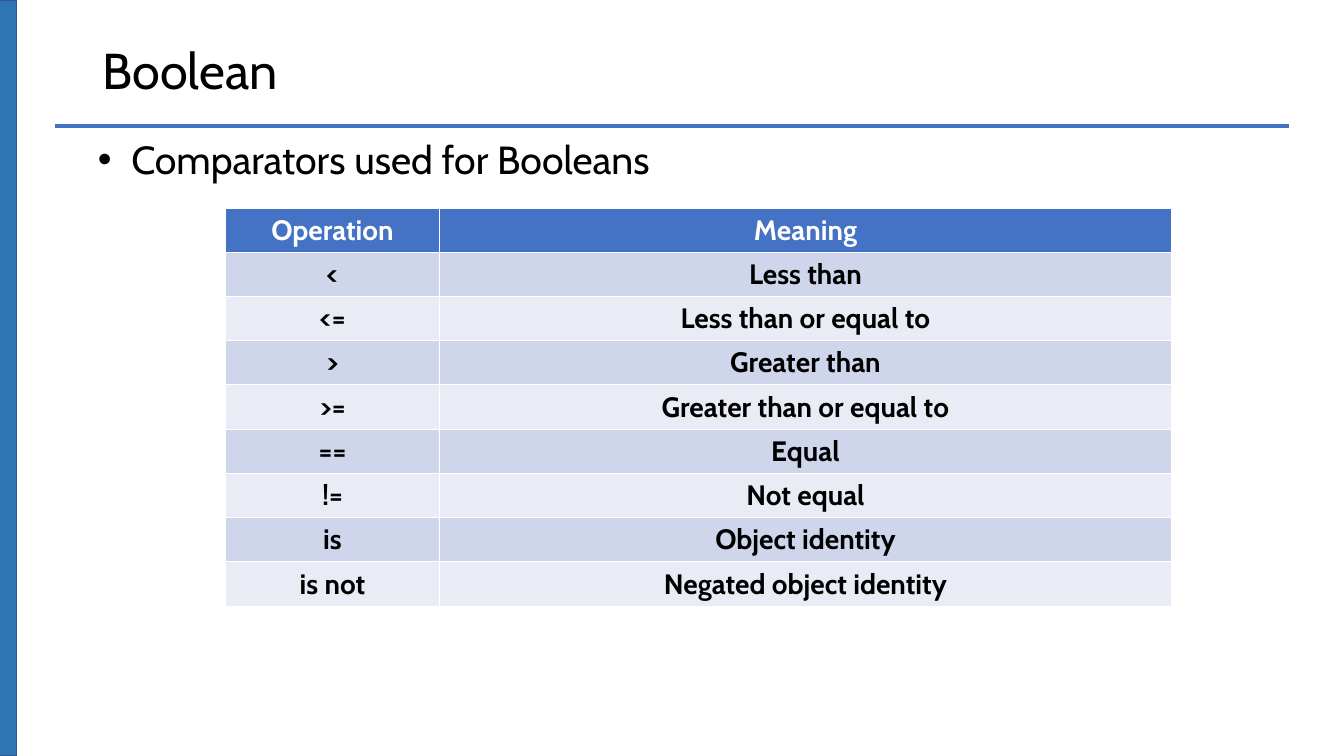
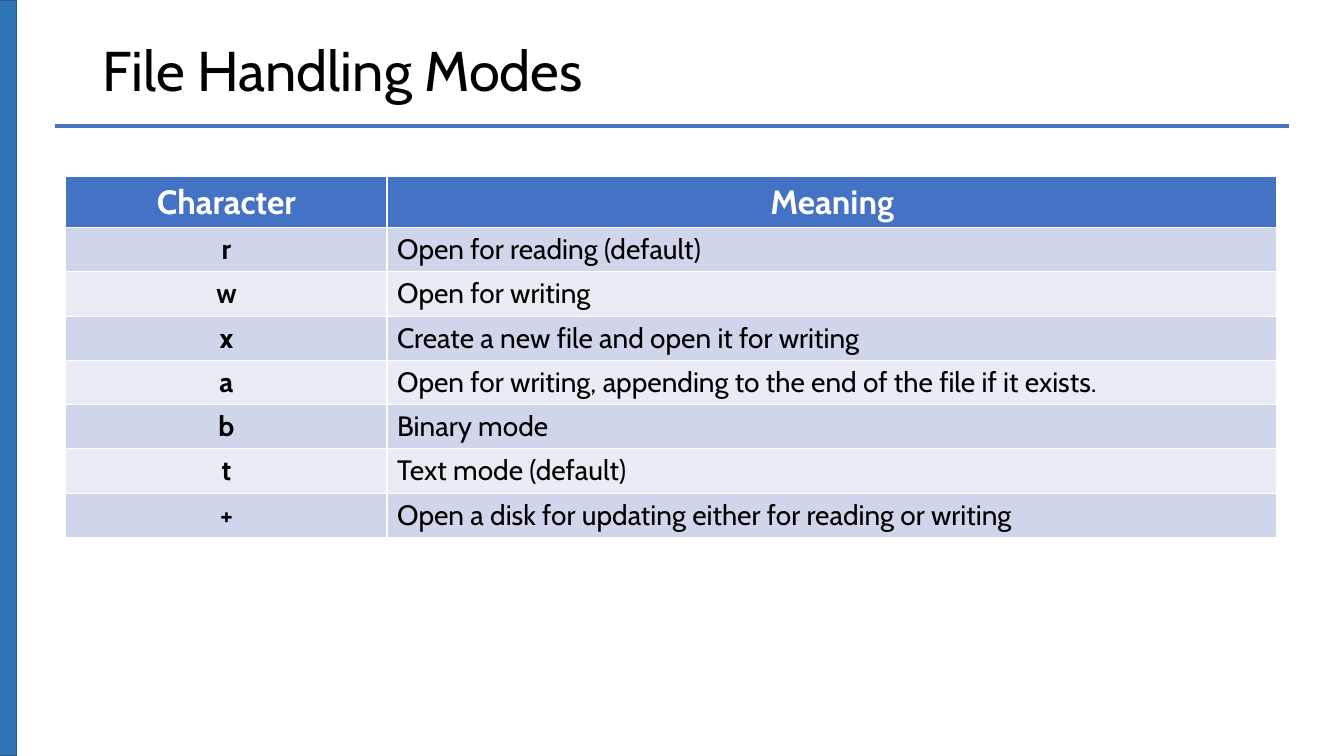
"""Build two Python lesson slides, each with a title and a reference table."""
import dataclasses

import lxml.etree
import pptx
import pptx.dml.color
import pptx.enum.shapes
import pptx.enum.text
import pptx.oxml.ns
import pptx.util

Pt = pptx.util.Pt
ALIGN = pptx.enum.text.PP_ALIGN


@dataclasses.dataclass(frozen=True)
class Theme:
    """Colours, font and type sizes of the deck."""
    font: str = "Cabin"
    ink: str = "000000"
    paper: str = "FFFFFF"
    accent: str = "4472C4"
    band: str = "2E75B6"
    band_edge: str = "325491"
    stripes: tuple = ("CFD5EA", "E9EBF5")
    bullet_size: float = 28
    cell_size: float = 20


THEME = Theme()
SLIDE_WIDTH, SLIDE_HEIGHT = 960, 540
TITLE_BOX = (66, 0, 828, 104.4)
BULLET_BOX = (62.64, 96.48, 858.24, 57.6)
BULLET_INDENT = 24
ROW_HEIGHT = 31.5

SLIDES = [
    {
        "title": "Boolean", "title_size": 36,
        "bullets": ["Comparators used for Booleans"],
        "table": {
            "left": 161, "top": 148.5, "columns": (153, 522.75),
            "header_size": 20, "header_height": ROW_HEIGHT,
            "meaning_align": ALIGN.CENTER, "meaning_bold": True,
            "rows": [
                ("Operation", "Meaning"),
                ("<", "Less than"),
                ("<=", "Less than or equal to"),
                (">", "Greater than"),
                (">=", "Greater than or equal to"),
                ("==", "Equal"),
                ("!=", "Not equal"),
                ("is", "Object identity"),
                ("is not", "Negated object identity"),
            ],
        },
    },
    {
        "title": "File Handling Modes", "title_size": 40,
        "bullets": [],
        "table": {
            "left": 47, "top": 126.2, "columns": (229.5, 635.75),
            "header_size": 24, "header_height": 36.4,
            "meaning_align": ALIGN.LEFT, "meaning_bold": False,
            "rows": [
                ("Character", "Meaning"),
                ("r", "Open for reading (default)"),
                ("w", "Open for writing"),
                ("x", "Create a new file and open it for writing"),
                ("a", "Open for writing, appending to the end of the file if it exists."),
                ("b", "Binary mode"),
                ("t", "Text mode (default)"),
                ("+", "Open a disk for updating either for reading or writing"),
            ],
        },
    },
]


def rgb(code):
    """Turn a hex code into a colour."""
    return pptx.dml.color.RGBColor.from_string(code)


def add_span(para, text, size, color=THEME.ink, bold=False):
    """Add one formatted run to a paragraph."""
    span = para.add_run()
    span.text = text
    span.font.name = THEME.font
    span.font.size = Pt(size)
    span.font.bold = bold
    span.font.color.rgb = rgb(color)


def place(shape, box):
    """Move a placeholder to a box and fix its text size."""
    shape.left, shape.top, shape.width, shape.height = map(Pt, box)
    shape.text_frame.word_wrap = True
    shape.text_frame.auto_size = pptx.enum.text.MSO_AUTO_SIZE.NONE


def add_frame(page):
    """Draw the side band and the rule under the title."""
    band = page.shapes.add_shape(
        pptx.enum.shapes.MSO_SHAPE.RECTANGLE, Pt(-12), Pt(0), Pt(24), Pt(SLIDE_HEIGHT))
    band.shadow.inherit = False
    band.fill.solid()
    band.fill.fore_color.rgb = rgb(THEME.band)
    band.line.color.rgb = rgb(THEME.band_edge)
    band.line.width = Pt(1)

    rule = page.shapes.add_connector(
        pptx.enum.shapes.MSO_CONNECTOR.STRAIGHT, Pt(39), Pt(90), Pt(921), Pt(90))
    rule.line.color.rgb = rgb(THEME.accent)
    rule.line.width = Pt(3)
    lxml.etree.SubElement(rule._element.spPr, pptx.oxml.ns.qn("a:effectLst"))


def fill_title(page, text, size):
    """Place and write the slide title."""
    title = page.shapes.title
    place(title, TITLE_BOX)
    title.text_frame.vertical_anchor = pptx.enum.text.MSO_ANCHOR.MIDDLE
    para = title.text_frame.paragraphs[0]
    para.alignment = ALIGN.LEFT
    para.line_spacing = 0.9
    add_span(para, text, size)


def fill_bullets(page, bullets):
    """Write the bullets into the body placeholder."""
    body = page.placeholders[1]
    place(body, BULLET_BOX)
    for index, text in enumerate(bullets):
        frame = body.text_frame
        para = frame.add_paragraph() if index else frame.paragraphs[0]
        para.line_spacing = 0.9
        para.space_before = Pt(10 if index else 0)
        props = para._p.get_or_add_pPr()
        props.set("marL", str(Pt(BULLET_INDENT)))
        props.set("indent", str(-Pt(BULLET_INDENT)))
        for tag, name, value in (("a:buFont", "typeface", "Arial"), ("a:buChar", "char", "•")):
            lxml.etree.SubElement(props, pptx.oxml.ns.qn(tag)).set(name, value)
        add_span(para, text, THEME.bullet_size)


def add_reference_table(page, data):
    """Add a striped two-column table with a header row."""
    rows, columns = data["rows"], data["columns"]
    heights = [data["header_height"]] + [ROW_HEIGHT] * (len(rows) - 1)
    table = page.shapes.add_table(
        len(rows), len(columns), Pt(data["left"]), Pt(data["top"]),
        Pt(sum(columns)), Pt(sum(heights))).table
    for column, width in zip(table.columns, columns):
        column.width = Pt(width)
    for row_index, (texts, height) in enumerate(zip(rows, heights)):
        table.rows[row_index].height = Pt(height)
        header = row_index == 0
        fill = THEME.accent if header else THEME.stripes[(row_index - 1) % 2]
        size = data["header_size"] if header else THEME.cell_size
        color = THEME.paper if header else THEME.ink
        for column_index, text in enumerate(texts):
            cell = table.cell(row_index, column_index)
            cell.fill.solid()
            cell.fill.fore_color.rgb = rgb(fill)
            meaning = column_index == 1 and not header
            para = cell.text_frame.paragraphs[0]
            para.alignment = data["meaning_align"] if meaning else ALIGN.CENTER
            add_span(para, text, size, color, data["meaning_bold"] if meaning else True)


def main():
    """Build and save the deck."""
    deck = pptx.Presentation()
    deck.slide_width, deck.slide_height = Pt(SLIDE_WIDTH), Pt(SLIDE_HEIGHT)
    for content in SLIDES:
        layout = "Title and Content" if content["bullets"] else "Title Only"
        page = deck.slides.add_slide(deck.slide_layouts.get_by_name(layout))
        add_frame(page)
        fill_title(page, content["title"], content["title_size"])
        if content["bullets"]:
            fill_bullets(page, content["bullets"])
        add_reference_table(page, content["table"])
    deck.save("out.pptx")


if __name__ == "__main__":
    main()
